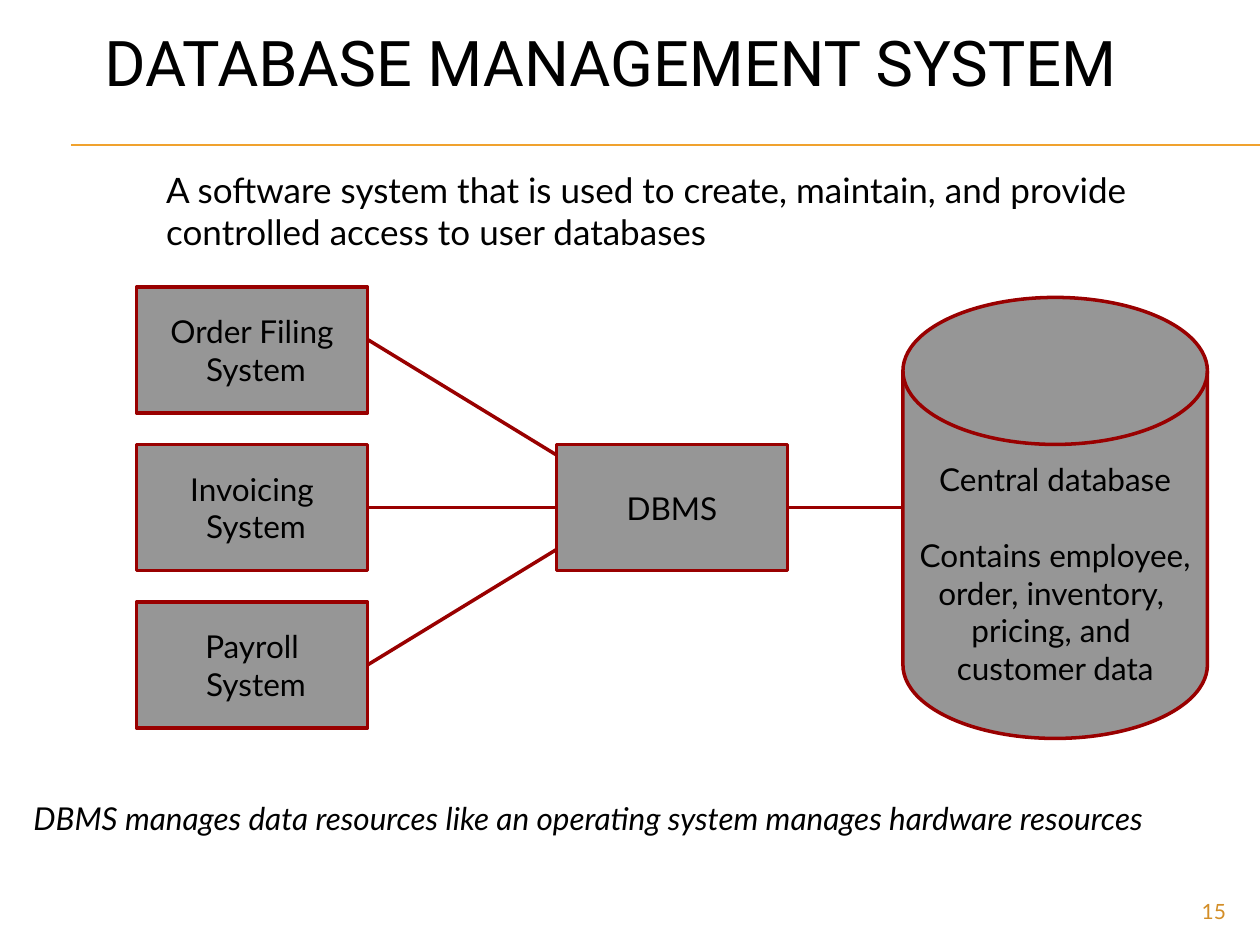
from lxml.etree import SubElement
from pptx import Presentation
from pptx.dml.color import RGBColor
from pptx.enum.shapes import MSO_CONNECTOR as Connector, MSO_SHAPE as Preset
from pptx.enum.text import MSO_ANCHOR as Anchor, PP_ALIGN as Align
from pptx.oxml.ns import qn
from pptx.util import Pt

BLACK = RGBColor(0x00, 0x00, 0x00)
GRAY = RGBColor(0x96, 0x96, 0x96)
RED = RGBColor(0x99, 0x00, 0x00)
ORANGE = RGBColor(0xF0, 0xA2, 0x2E)
GOLD = RGBColor(0xD3, 0x8E, 0x27)

PAGE_WIDTH, PAGE_HEIGHT = 720, 540
NODE_WIDTH, NODE_HEIGHT = 132, 72
NODE_GAP = 18
HUB_OFFSET = 240
DISK_WIDTH, DISK_HEIGHT = 174, 252
LINE_HEIGHT = 21.6

TITLE = "DATABASE MANAGEMENT SYSTEM"
DEFINITION = ("A software system that is used to create, maintain, and provide "
              "controlled access to user databases")
SUMMARY = ("DBMS manages data resources like an operating system manages "
           "hardware resources")
PAGE_NUMBER = "15"
DATABASE_LINES = ["Central database", "Contains employee,", "order, inventory, ",
                  "pricing, and ", "customer data"]

# Each system: name, then how far its link starts and ends below the hub's middle.
SYSTEMS = [("Order Filing", -96, -30), ("Invoicing", 0, 0), ("Payroll", 90, 24)]


def apply_format(target, values):
    for name, value in values.items():
        setattr(target, name, value)


def write(frame, lines, size=18, color=BLACK, font="Lato", italic=False,
          align=Align.LEFT, **layout):
    apply_format(frame, {"word_wrap": True, **layout})
    for index, line in enumerate(lines):
        para = frame.add_paragraph() if index else frame.paragraphs[0]
        para.alignment = align
        span = para.add_run()
        span.text = line
        apply_format(span.font, {"name": font, "size": Pt(size), "italic": italic})
        span.font.color.rgb = color


def add_text(page, box, text, **style):
    frame = page.shapes.add_textbox(*map(Pt, box)).text_frame
    write(frame, [text], **style)


def add_line(page, start, end, color=RED, width=2):
    line = page.shapes.add_connector(Connector.STRAIGHT, *map(Pt, start + end))
    line.line.color.rgb = color
    line.line.width = Pt(width)
    SubElement(line._element.spPr, qn("a:effectLst"))


def add_node(page, preset, box, lines, **layout):
    node = page.shapes.add_shape(preset, *map(Pt, box))
    node.shadow.inherit = False
    node.fill.solid()
    node.fill.fore_color.rgb = GRAY
    node.line.color.rgb = RED
    node.line.width = Pt(2)
    style = {"align": Align.CENTER, "word_wrap": False,
             "vertical_anchor": Anchor.MIDDLE, **layout}
    write(node.text_frame, lines, **style)
    return node


def add_header(page, box):
    rule_left = 40.5
    for rule_top in (82.8, 83.2):
        add_line(page, (rule_left, rule_top), (PAGE_WIDTH, rule_top), ORANGE, 0.75)
    add_text(page, box, TITLE, size=36, font="Roboto", word_wrap=False,
             margin_left=Pt(3.6), margin_right=Pt(3.6),
             margin_top=Pt(1.4), margin_bottom=Pt(1.4))


def add_definition(page, box):
    add_text(page, box, DEFINITION, size=20, margin_left=Pt(34))


def add_systems(page, box, hub_left, middle):
    left, top = box[:2]
    right = left + NODE_WIDTH
    for row, (name, link_start, link_end) in enumerate(SYSTEMS):
        node_top = top + row * (NODE_HEIGHT + NODE_GAP)
        add_node(page, Preset.RECTANGLE, (left, node_top, NODE_WIDTH, NODE_HEIGHT),
                 [name, " System"])
        add_line(page, (right, middle + link_start), (hub_left, middle + link_end))


def add_database(page, box):
    disk = add_node(page, Preset.FLOWCHART_MAGNETIC_DISK, box, DATABASE_LINES,
                    vertical_anchor=Anchor.TOP, margin_top=Pt(9), margin_bottom=Pt(0))
    disk.text_frame.paragraphs[1].space_before = Pt(LINE_HEIGHT)


def add_diagram(page, box):
    left, top, width, height = box
    middle = top + height / 2
    hub_left = left + HUB_OFFSET
    hub_right = hub_left + NODE_WIDTH
    disk_left = left + width - DISK_WIDTH
    add_systems(page, box, hub_left, middle)
    add_node(page, Preset.RECTANGLE,
             (hub_left, middle - NODE_HEIGHT / 2, NODE_WIDTH, NODE_HEIGHT), ["DBMS"])
    add_database(page, (disk_left, top + 6, DISK_WIDTH, DISK_HEIGHT))
    add_line(page, (hub_right, middle), (disk_left, middle))


def add_footer(page, summary_box, number_box):
    add_text(page, summary_box, SUMMARY, italic=True)
    add_text(page, number_box, PAGE_NUMBER, size=12, color=GOLD, align=Align.RIGHT)


def main():
    deck = Presentation()
    apply_format(deck, {"slide_width": Pt(PAGE_WIDTH), "slide_height": Pt(PAGE_HEIGHT)})
    page = deck.slides.add_slide(deck.slide_layouts[6])
    add_header(page, (56, 12, 608, 55.4))
    add_definition(page, (61, 93, 612, 108))
    add_diagram(page, (78, 164, 612, 252))
    add_footer(page, (12, 453, 703.4, 29), (648, 509.8, 59.6, 19.4))
    deck.save("out.pptx")


if __name__ == "__main__":
    main()
